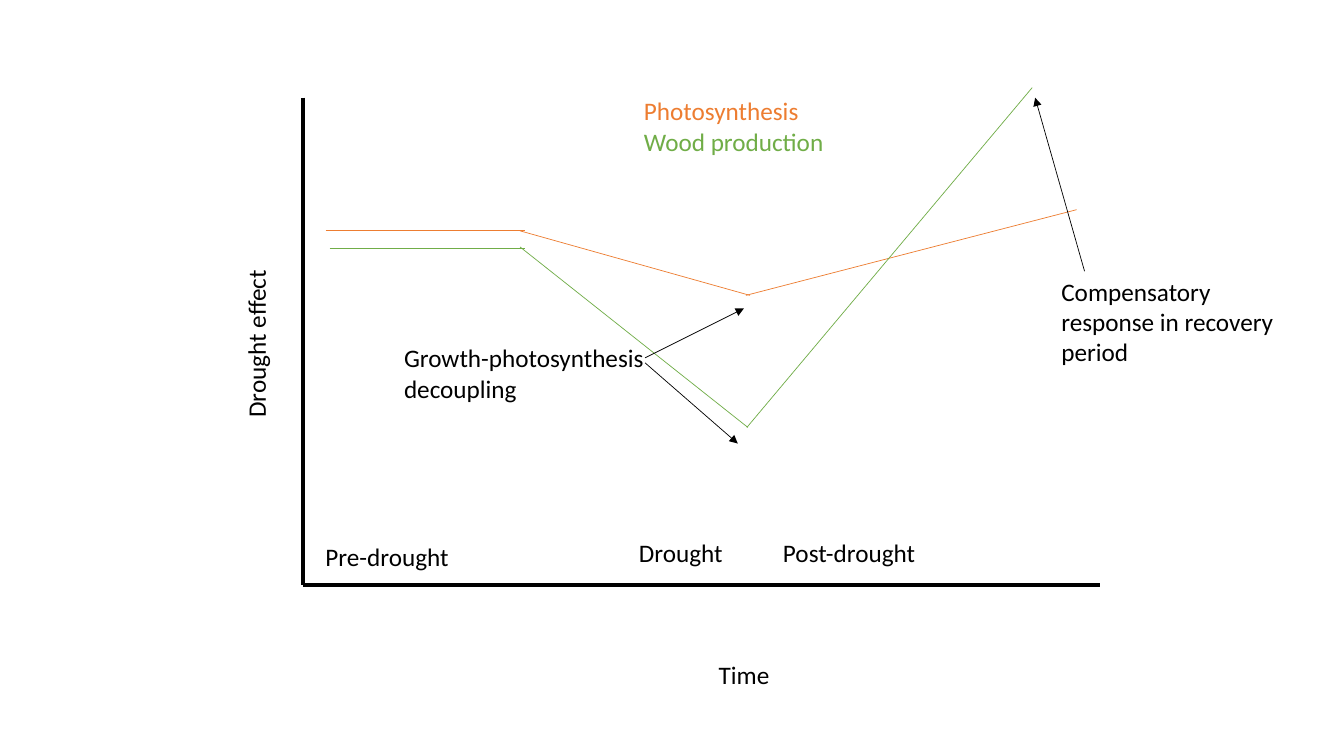
from lxml.etree import SubElement as Sub
from pptx import Presentation
from pptx.dml.color import RGBColor as RGB
from pptx.enum.shapes import MSO_CONNECTOR as Conn
from pptx.enum.text import MSO_AUTO_SIZE as Auto
from pptx.oxml.ns import qn
from pptx.util import Pt

BLACK, ORANGE, GREEN = "000000", "ED7D31", "70AD47"
FONT = {"name": "Calibri", "size": Pt(18)}
FRAME = {"word_wrap": True, "auto_size": Auto.SHAPE_TO_FIT_TEXT}
WIDE, THIN = 3, 0.5

AXES = [((216.7, 69.8), (216.7, 417.6)), ((216.7, 417.6), (785.5, 417.6))]
PHOTO = [((232.6, 164.9), (375.1, 164.9)), ((371.5, 164.9), (535.7, 211)),
         ((532.8, 211), (769, 149.8))]
WOOD = [((235.4, 177.1), (375.1, 177.1)), ((371.5, 176.4), (534.2, 305.3)),
        ((533.5, 305.3), (737.3, 62.6))]
ARROWS = [((460.8, 255.6), (531.4, 220.3)), ((460.8, 259.2), (527, 316.8)),
          ((774.7, 193.7), (739.4, 69.8))]
AXIS_W, NOTE_W, KEY_W = 157, 186.5, 246.2
LABELS = [
    ("Post-drought", 552.2, 380.2, AXIS_W, 1),
    ("Drought", 449.3, 380.2, AXIS_W, 1),
    ("Pre-drought", 225.4, 383, AXIS_W, 1),
    ("Growth-photosynthesis decoupling", 281.5, 241.2, NOTE_W, 2),
    ("Compensatory response in recovery period", 751, 193.7, NOTE_W, 3),
]


def apply(item, style):
    for key, value in style.items():
        setattr(item, key, value)


def paint(color, tone):
    color.rgb = RGB.from_string(tone)


def draw(slide, lines, tone, width, head=False):
    for start, end in lines:
        line = slide.shapes.add_connector(
            Conn.STRAIGHT, *(Pt(n) for n in start + end))
        paint(line.line.color, tone)
        line.line.width = Pt(width)
        props = line.line._get_or_add_ln()
        if head:
            Sub(props, qn("a:tailEnd"), type="triangle")
        Sub(props.getparent(), qn("a:effectLst"))


def label(slide, rows, left, top, width, count=1, turn=0):
    height = 7.2 + 21.8 * count
    box = slide.shapes.add_textbox(*(Pt(n) for n in (left, top, width, height)))
    box.rotation = turn
    frame = box.text_frame
    apply(frame, FRAME)
    for i, (text, tone) in enumerate(rows):
        para = frame.add_paragraph() if i else frame.paragraphs[0]
        run = para.add_run()
        run.text = text
        apply(run.font, FONT)
        paint(run.font.color, tone)


def main():
    deck = Presentation()
    apply(deck, {"slide_width": Pt(960), "slide_height": Pt(540)})
    slide = deck.slides.add_slide(deck.slide_layouts[6])
    draw(slide, AXES, BLACK, WIDE)
    label(slide, [("Time", BLACK)], 506.2, 467.3, AXIS_W)
    label(slide, [("Drought effect", BLACK)], 104.4, 212.4, AXIS_W, turn=270)
    draw(slide, PHOTO, ORANGE, THIN)
    draw(slide, WOOD, GREEN, THIN)
    label(slide, [("Photosynthesis", ORANGE), ("Wood production", GREEN)],
          452.9, 64.8, KEY_W, 2)
    for text, *place in LABELS:
        label(slide, [(text, BLACK)], *place)
    draw(slide, ARROWS, BLACK, THIN, head=True)
    deck.save("out.pptx")


main()
